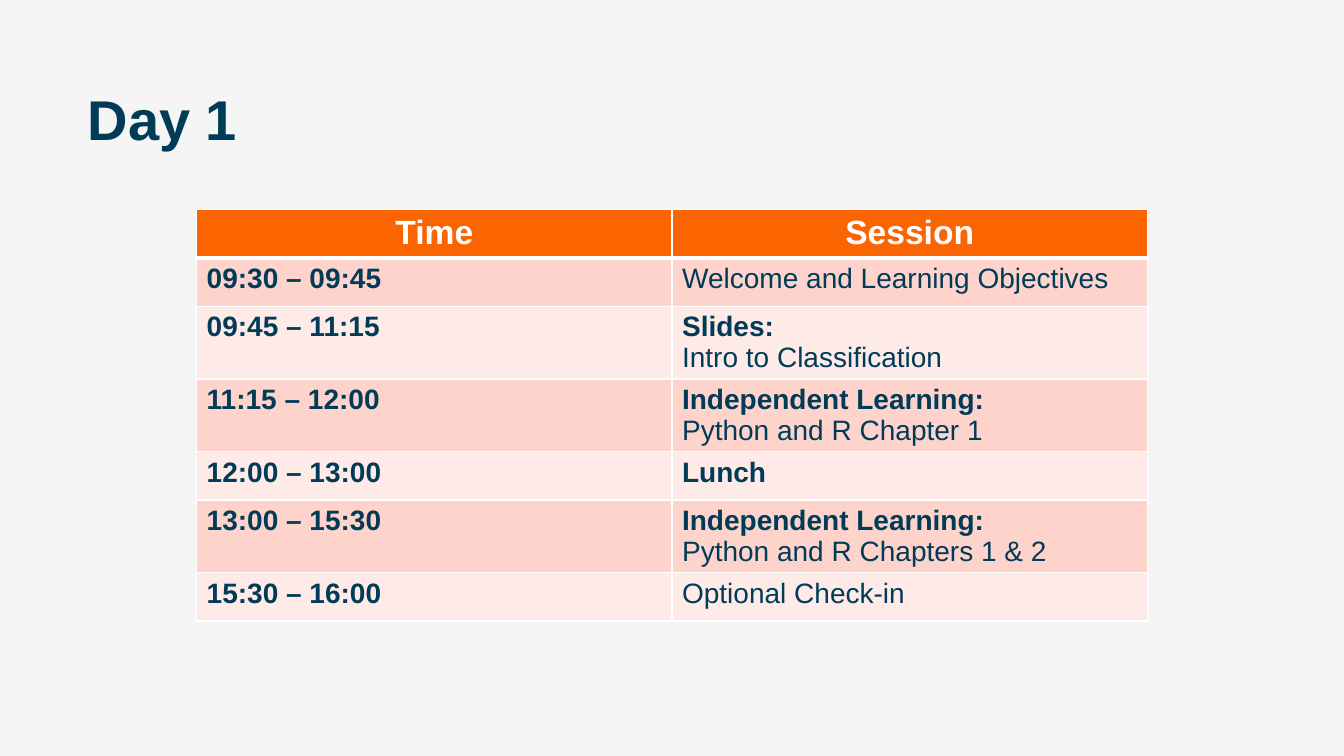
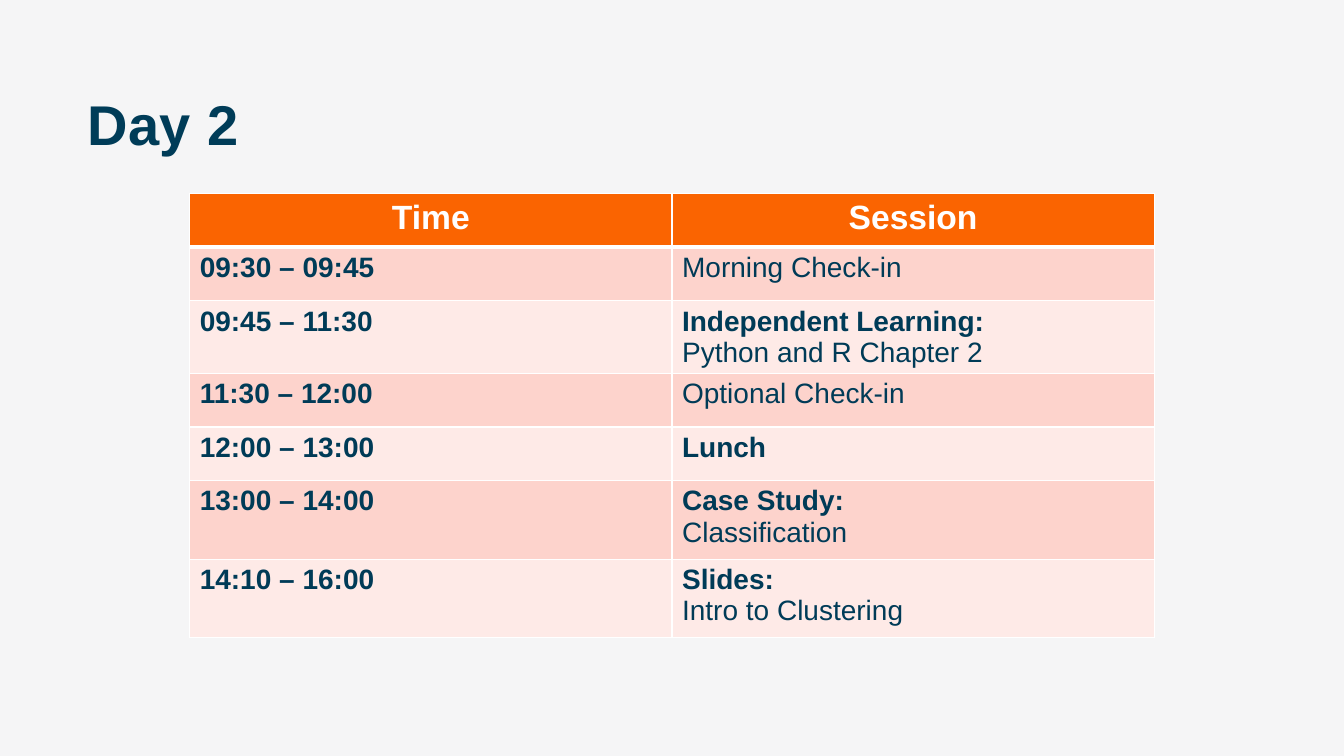
import pptx
import pptx.dml.color
import pptx.enum.text
import pptx.oxml
import pptx.oxml.ns
import pptx.util
from pptx.util import Cm, Pt

TITLE_ONLY = 5
SLIDE_WIDTH, SLIDE_HEIGHT = Cm(33.87), Cm(19.05)


def color(hex_string):
    return pptx.dml.color.RGBColor.from_string(hex_string)


class Timetable:
    """Holds the shared style and the slide being filled."""

    font = "Arial"
    background = "F5F5F6"
    title_color = "003C58"
    text_color = "003B57"
    white = "FFFFFF"
    header_fill = "FA6401"
    band_fills = ("FDD3CC", "FEEAE7")

    def __init__(self):
        self.presentation = pptx.Presentation()
        self.presentation.slide_width = SLIDE_WIDTH
        self.presentation.slide_height = SLIDE_HEIGHT
        fill = self.presentation.slide_master.background.fill
        fill.solid()
        fill.fore_color.rgb = color(self.background)
        self.slide = None

    def add_slide(self):
        layout = self.presentation.slide_layouts[TITLE_ONLY]
        self.slide = self.presentation.slides.add_slide(layout)

    def style(self, paragraph, size, hex_string, bold):
        font = paragraph.font
        font.name = self.font
        font.size = Pt(size)
        font.bold = bold
        font.color.rgb = color(hex_string)

    def title(self, word, number, space_size=40):
        """Write the heading; a larger space lowers its baseline."""
        shape = self.slide.shapes.title
        shape.left, shape.top = Cm(2.21), Cm(2.26)
        shape.width, shape.height = Cm(4.4), Cm(1.88)
        frame = shape.text_frame
        frame.margin_left = frame.margin_right = 0
        frame.margin_top = frame.margin_bottom = 0
        frame.auto_size = pptx.enum.text.MSO_AUTO_SIZE.NONE
        frame.vertical_anchor = pptx.enum.text.MSO_ANCHOR.TOP
        frame.word_wrap = True
        paragraph = frame.paragraphs[0]
        paragraph.alignment = pptx.enum.text.PP_ALIGN.LEFT
        paragraph.line_spacing = 0.95
        paragraph.space_after = Pt(10)
        self.style(paragraph, 40, self.title_color, True)
        for text, size in ((word, 40), (" ", space_size), (number, 40)):
            run = paragraph.add_run()
            run.text = text
            run.font.size = Pt(size)

    def borders(self, cell, top, bottom):
        properties = cell._tc.get_or_add_tcPr()
        for side, width in (("L", 1), ("R", 1), ("T", top), ("B", bottom)):
            properties.append(pptx.oxml.parse_xml(
                f'<a:ln{side} {pptx.oxml.ns.nsdecls("a")} w="{Pt(width)}">'
                f'<a:solidFill><a:srgbClr val="{self.white}"/></a:solidFill>'
                f'</a:ln{side}>'))

    def cell(self, cell, row, lines):
        """Fill one cell with (text, bold) lines; row 0 is the header."""
        header = row == 0
        self.borders(cell, 3 if row == 1 else 1, 3 if header else 1)
        cell.fill.solid()
        fill = self.header_fill if header else self.band_fills[(row - 1) % 2]
        cell.fill.fore_color.rgb = color(fill)
        cell.text = "\n".join(text for text, bold in lines)
        for paragraph, (text, bold) in zip(cell.text_frame.paragraphs, lines):
            if header:
                paragraph.alignment = pptx.enum.text.PP_ALIGN.CENTER
                self.style(paragraph, 24, self.white, bold)
            else:
                self.style(paragraph, 20, self.text_color, bold)

    def schedule(self, top, width, heights, sessions):
        """Add a centred table of (time, bold heading, plain detail) rows."""
        left = (SLIDE_WIDTH - Cm(width)) // 2
        table = self.slide.shapes.add_table(
            len(heights), 2, left, Cm(top), Cm(width), Cm(sum(heights))).table
        for row, height in zip(table.rows, heights):
            row.height = Cm(height)
        rows = [("Time", "Session", "")] + sessions
        for index, (time, heading, detail) in enumerate(rows):
            lines = [(text, bold) for text, bold
                     in ((heading, True), (detail, False)) if text]
            self.cell(table.cell(index, 0), index, [(time, True)])
            self.cell(table.cell(index, 1), index, lines)


def main():
    timetable = Timetable()

    timetable.add_slide()
    timetable.title("Day", "1")
    single, double = 1.22, 1.83
    timetable.schedule(
        5.28, 23.96,
        [single, single, double, double, single, double, single],
        [("09:30 – 09:45", "", "Welcome and Learning Objectives"),
         ("09:45 – 11:15", "Slides:", "Intro to Classification"),
         ("11:15 – 12:00", "Independent Learning:", "Python and R Chapter 1"),
         ("12:00 – 13:00", "Lunch", ""),
         ("13:00 – 15:30", "Independent Learning:",
          "Python and R Chapters 1 & 2"),
         ("15:30 – 16:00", "", "Optional Check-in")])

    timetable.add_slide()
    timetable.title("Day", "2", space_size=44)
    single, double, loose = 1.35, 1.83, 1.98
    timetable.schedule(
        4.88, 24.31,
        [single, single, double, single, single, loose, loose],
        [("09:30 – 09:45", "", "Morning Check-in"),
         ("09:45 – 11:30", "Independent Learning:", "Python and R Chapter 2"),
         ("11:30 – 12:00", "", "Optional Check-in"),
         ("12:00 – 13:00", "Lunch", ""),
         ("13:00 – 14:00", "Case Study:", "Classification"),
         ("14:10 – 16:00", "Slides:", "Intro to Clustering")])

    timetable.presentation.save("out.pptx")


if __name__ == "__main__":
    main()
